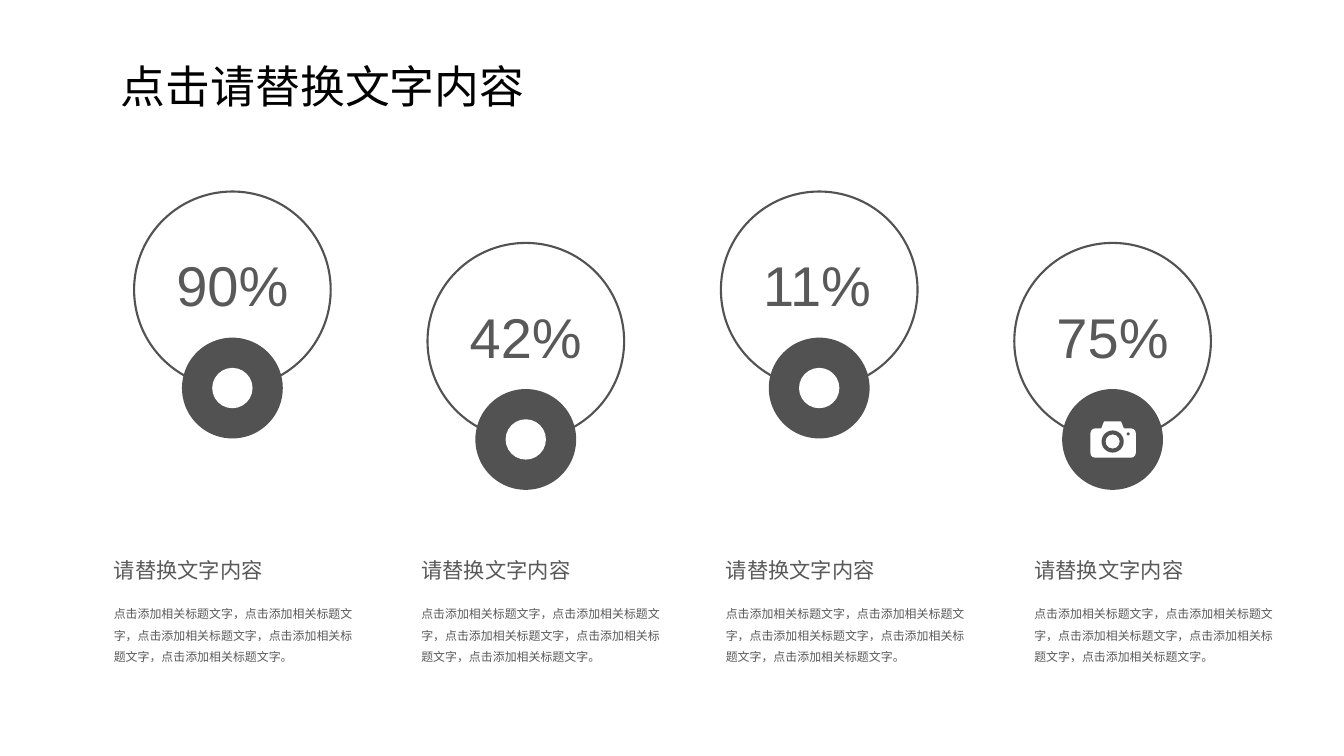
from pptx import Presentation
from pptx.dml.color import RGBColor
from pptx.enum.shapes import MSO_SHAPE
from pptx.enum.text import MSO_ANCHOR, PP_ALIGN
from pptx.oxml.ns import qn
from pptx.util import Inches, Pt
from lxml.etree import SubElement

WHITE = RGBColor(0xFF, 0xFF, 0xFF)
BLACK = RGBColor(0x00, 0x00, 0x00)
DARK = RGBColor(0x52, 0x52, 0x52)
GREY = RGBColor(0x59, 0x59, 0x59)
LATIN_FONT = "Arial"
CHINESE_FONT = "Noto Sans CJK SC"

HEADING = "请替换文字内容"
BODY = "，".join(["点击添加相关标题文字"] * 5) + "。"

# Percentage and left edge of the text below it
COLUMNS = [("90%", 1.03), ("42%", 4.08), ("11%", 7.1), ("75%", 10.16)]
FIRST_RING, RING_STEP, RING_SIZE = 1.33, 2.91, 1.95
RING_TOPS = (1.9, 2.41)
BADGE_SIZE = 1


def write(box, text, size, font, color, spacing=1.0, wrap=False):
    frame = box.text_frame
    frame.word_wrap = wrap
    frame.vertical_anchor = MSO_ANCHOR.TOP
    para = frame.paragraphs[0]
    para.alignment = PP_ALIGN.LEFT
    para.line_spacing = spacing
    span = para.add_run()
    span.text = text
    span.font.size = Pt(size)
    span.font.name = font
    span.font.color.rgb = color
    # Chinese characters take their typeface from a:ea
    east_asian = SubElement(span.font._element, qn("a:ea"))
    east_asian.set("typeface", font)


def add_text(shapes, left, top, width, height, *style, **options):
    box = shapes.add_textbox(Inches(left), Inches(top), Inches(width), Inches(height))
    write(box, *style, **options)


def add_figure(shapes, kind, left, top, width, height, fill, line=None):
    figure = shapes.add_shape(
        kind, Inches(left), Inches(top), Inches(width), Inches(height))
    figure.shadow.inherit = False
    figure.fill.solid()
    figure.fill.fore_color.rgb = fill
    if line is None:
        figure.line.fill.background()
    else:
        figure.line.color.rgb = line
        figure.line.width = Pt(1.5)
    return figure


def add_dot(shapes, x, y):
    add_figure(shapes, MSO_SHAPE.OVAL, x - 0.2, y - 0.2, 0.4, 0.4, WHITE)


def add_camera(shapes, x, y):
    hump = add_figure(
        shapes, MSO_SHAPE.TRAPEZOID, x - 0.12, y - 0.18, 0.24, 0.09, WHITE)
    hump.adjustments[0] = 0.4
    body = add_figure(
        shapes, MSO_SHAPE.ROUNDED_RECTANGLE, x - 0.22, y - 0.11, 0.45, 0.29, WHITE)
    body.adjustments[0] = 0.16
    lens = add_figure(shapes, MSO_SHAPE.DONUT, x - 0.11, y - 0.09, 0.22, 0.22, DARK)
    lens.adjustments[0] = 0.18
    add_figure(shapes, MSO_SHAPE.OVAL, x + 0.14, y - 0.07, 0.03, 0.03, DARK)


def add_gauge(slide, left, top, percent, add_icon):
    shapes = slide.shapes.add_group_shape().shapes
    add_figure(shapes, MSO_SHAPE.OVAL, left, top, RING_SIZE, RING_SIZE, WHITE, DARK)
    badge_left = left + (RING_SIZE - BADGE_SIZE) / 2
    badge_top = top + 1.45
    add_figure(shapes, MSO_SHAPE.OVAL, badge_left, badge_top,
               BADGE_SIZE, BADGE_SIZE, DARK)
    add_text(shapes, left + 0.32, top + 0.34, 1.32, 0.98,
             percent, 40, LATIN_FONT, GREY, spacing=1.3)
    add_icon(shapes, badge_left + BADGE_SIZE / 2, badge_top + BADGE_SIZE / 2)


def add_title(slide, text):
    title = slide.shapes.title
    title.left, title.top = Inches(1.1), Inches(0.53)
    title.width, title.height = Inches(4.24), Inches(0.64)
    write(title, text, 32, CHINESE_FONT, BLACK)


def main():
    deck = Presentation()
    deck.slide_width, deck.slide_height = Inches(13.33), Inches(7.5)
    page = deck.slides.add_slide(deck.slide_layouts[5])
    add_title(page, "点击请替换文字内容")

    # Gauges alternate between two heights
    icons = (add_dot, add_dot, add_dot, add_camera)
    for index, ((percent, text_left), add_icon) in enumerate(zip(COLUMNS, icons)):
        add_gauge(page, FIRST_RING + index * RING_STEP, RING_TOPS[index % 2],
                  percent, add_icon)
        # Heading and description below the gauge
        add_text(page.shapes, text_left, 5.48, 1.69, 0.36,
                 HEADING, 15.2, CHINESE_FONT, GREY)
        add_text(page.shapes, text_left, 5.9, 2.68, 0.75,
                 BODY, 8.5, LATIN_FONT, GREY, spacing=1.5, wrap=True)

    deck.save("out.pptx")


if __name__ == "__main__":
    main()
